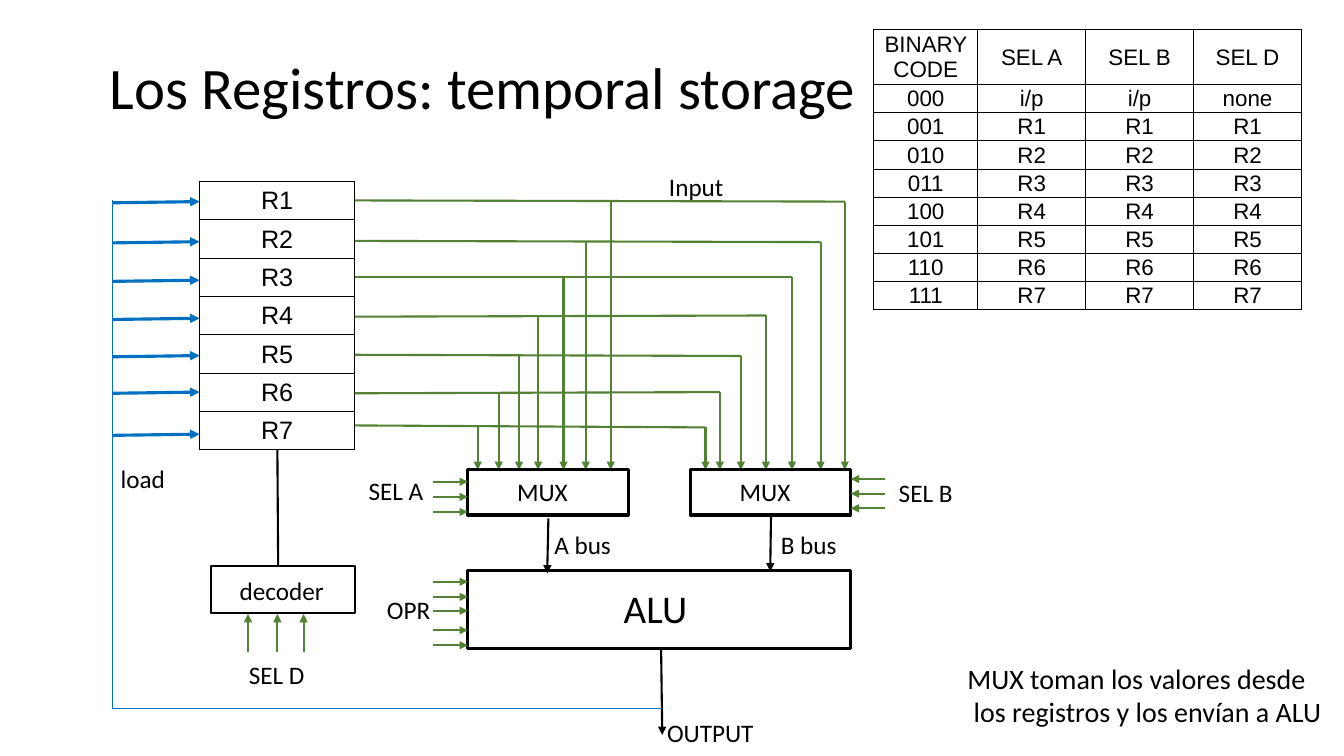
"""Build a slide on a register bank feeding two multiplexers and an ALU."""
from dataclasses import dataclass

from lxml import etree
from pptx import Presentation
from pptx.dml.color import RGBColor
from pptx.enum.shapes import MSO_CONNECTOR, MSO_SHAPE
from pptx.enum.text import MSO_ANCHOR, PP_ALIGN
from pptx.oxml.ns import qn
from pptx.util import Cm, Pt

STRAIGHT = MSO_CONNECTOR.STRAIGHT
RECTANGLE = MSO_SHAPE.RECTANGLE
MIDDLE = MSO_ANCHOR.MIDDLE
CENTER = PP_ALIGN.CENTER


@dataclass(frozen=True)
class Theme:
    ink: str = "000000"
    load: str = "0070C0"
    data: str = "548235"
    text_font: str = "Calibri"
    table_font: str = "Arial"
    title_size: int = 42
    alu_size: int = 28
    note_size: int = 20
    label_size: int = 18
    code_size: int = 16
    grid: float = 0.5
    thin: float = 1
    medium: float = 1.5
    thick: float = 2.25


class Diagram:
    def __init__(self, slide, theme):
        self.slide = slide
        self.theme = theme

    def style_text(self, paragraph, size, font):
        for run in paragraph.runs:
            run.font.size = Pt(size)
            run.font.name = font
            run.font.color.rgb = RGBColor.from_string(self.theme.ink)

    def label(self, text, left, top, width, height=1.02, size=None, wrap=False):
        box = self.slide.shapes.add_textbox(Cm(left), Cm(top), Cm(width), Cm(height))
        frame = box.text_frame
        frame.word_wrap = wrap
        frame.text = text
        for paragraph in frame.paragraphs:
            self.style_text(paragraph, size or self.theme.label_size, self.theme.text_font)
        return frame

    def title(self, text, left, top, width, height):
        frame = self.label(text, left, top, width, height, self.theme.title_size, True)
        frame.vertical_anchor = MIDDLE
        frame.paragraphs[0].line_spacing = 0.9

    def block(self, left, top, width, height, weight):
        outline = self.slide.shapes.add_shape(
            RECTANGLE, Cm(left), Cm(top), Cm(width), Cm(height))
        outline.shadow.inherit = False
        outline.fill.background()
        outline.line.color.rgb = RGBColor.from_string(self.theme.ink)
        outline.line.width = Pt(weight)

    def wire(self, start, end, color, weight, arrow=True):
        connector = self.slide.shapes.add_connector(
            STRAIGHT, *(Cm(value) for value in (*start, *end)))
        connector.line.color.rgb = RGBColor.from_string(color)
        connector.line.width = Pt(weight)
        properties = connector._element.spPr
        if arrow:
            etree.SubElement(properties.find(qn("a:ln")), qn("a:tailEnd"), type="triangle")
        etree.SubElement(properties, qn("a:effectLst"))

    def table(self, rows, left, top, widths, heights, size):
        frame = self.slide.shapes.add_table(
            len(rows), len(widths), Cm(left), Cm(top), Cm(sum(widths)), Cm(sum(heights)))
        table = frame.table
        table.first_row = table.horz_banding = False
        for column, width in zip(table.columns, widths):
            column.width = Cm(width)
        for row, height, texts in zip(table.rows, heights, rows):
            row.height = Cm(height)
            for cell, text in zip(row.cells, texts):
                self.fill_cell(cell, text, size)

    def fill_cell(self, cell, text, size):
        properties = cell._tc.get_or_add_tcPr()
        for side in ("lnL", "lnR", "lnT", "lnB"):
            border = etree.SubElement(
                properties, qn(f"a:{side}"), w=str(Pt(self.theme.grid)))
            solid = etree.SubElement(border, qn("a:solidFill"))
            etree.SubElement(solid, qn("a:srgbClr"), val=self.theme.ink)
        cell.fill.background()
        cell.margin_left = cell.margin_right = cell.margin_top = Cm(0.03)
        cell.margin_bottom = 0
        cell.vertical_anchor = MIDDLE
        cell.text_frame.text = text
        paragraph = cell.text_frame.paragraphs[0]
        paragraph.alignment = CENTER
        self.style_text(paragraph, size, self.theme.table_font)


def draw_registers(diagram, names):
    theme = diagram.theme
    diagram.table([[name] for name in names], 5.03, 4.57, [3.91],
                  [6.76 / len(names)] * len(names), theme.label_size)
    for load_y in (5.11, 6.12, 7.09, 8.05, 8.99, 9.91, 10.97):
        diagram.wire((2.84, load_y), (5.03, load_y - 0.03), theme.load, theme.thick)

    register_outputs = (
        (5.05, 5.08, 15.39, 21.29), (6.07, 6.1, 14.76, 20.68),
        (6.99, 6.99, 14.2, 19.96), (7.98, 7.95, 13.56, 19.3),
        (8.94, 8.97, 13.08, 18.67), (9.91, 9.88, 12.57, 18.14),
        (10.72, 10.77, 12.04, 17.78),
    )
    for start_y, end_y, mux_a_x, mux_b_x in register_outputs:
        diagram.wire((8.94, start_y), (mux_b_x, end_y), theme.data, theme.medium, False)
        for mux_x in (mux_a_x, mux_b_x):
            diagram.wire((mux_x, end_y), (mux_x, 11.84), theme.data, theme.medium)


def draw_units(diagram):
    theme = diagram.theme
    for mux_left in (11.79, 17.4):
        diagram.block(mux_left, 11.84, 4.04, 1.14, theme.thick)
        diagram.label("MUX", mux_left + 0.99, 11.89, 1.8)
    diagram.block(5.31, 14.27, 3.63, 1.17, theme.medium)
    diagram.block(11.79, 14.38, 9.65, 1.96, theme.thick)
    diagram.label("ALU", 15.47, 14.61, 2.74, 1.45, theme.alu_size, True)


def draw_controls(diagram):
    theme = diagram.theme
    select_a = [((10.92, y), (11.79, y)) for y in (12.14, 12.52, 12.9)]
    select_b = [((22.3, y), (21.44, y)) for y in (12.07, 12.44, 12.81)]
    select_d = [((x, 16.43), (x, 15.47)) for x in (6.25, 6.99, 7.65)]
    operation = [((10.92, y), (11.79, y)) for y in (14.66, 15.04, 15.39, 15.88, 16.26)]
    for start, end in select_a + select_b + select_d + operation:
        diagram.wire(start, end, theme.data, theme.medium)

    diagram.wire((6.99, 11.33), (7.01, 14.27), theme.ink, theme.medium, False)
    diagram.wire((13.82, 13.06), (13.79, 14.45), theme.ink, theme.medium)
    diagram.wire((19.43, 13), (19.41, 14.4), theme.ink, theme.medium)
    diagram.wire((16.66, 16.33), (16.69, 18.52), theme.ink, theme.medium)
    diagram.wire((16.69, 17.86), (2.84, 17.86), theme.load, theme.thin, False)
    diagram.wire((2.84, 5.05), (2.84, 17.86), theme.load, theme.thin, False)


def draw_labels(diagram):
    for text, left, top, width in (
        ("Input", 16.61, 4.19, 1.91), ("load", 2.79, 11.56, 1.65),
        ("SEL A", 9.04, 11.86, 1.91), ("SEL B", 22.4, 11.91, 1.88),
        ("A bus", 13.72, 13.21, 1.96), ("B bus", 19.43, 13.21, 1.93),
        ("decoder", 5.79, 14.38, 2.67), ("OPR", 9.5, 14.86, 1.6),
        ("SEL D", 6.02, 16.48, 1.93), ("OUTPUT", 16.56, 17.96, 2.72),
    ):
        diagram.label(text, left, top, width)
    diagram.label("MUX toman los valores desde\n los registros y los envían a ALU",
                  24.13, 16.54, 9.53, 1.96, diagram.theme.note_size)


def main():
    presentation = Presentation()
    presentation.slide_width = Cm(33.87)
    presentation.slide_height = Cm(19.05)
    slide = presentation.slides.add_slide(presentation.slide_layouts[6])
    diagram = Diagram(slide, Theme())
    registers = [f"R{number}" for number in range(1, 8)]

    diagram.title("Los Registros: temporal storage", 2.51, 1.09, 29.21, 2.36)
    draw_registers(diagram, registers)
    draw_units(diagram)
    draw_controls(diagram)
    draw_labels(diagram)

    codes = [["BINARY CODE", "SEL A", "SEL B", "SEL D"], ["000", "i/p", "i/p", "none"]]
    codes += [[f"{code:03b}"] + [name] * 3 for code, name in enumerate(registers, 1)]
    diagram.table(codes, 22.02, 0.74, [2.62] + [2.72] * 3, [1.38] + [0.71] * 8,
                  diagram.theme.code_size)
    presentation.save("out.pptx")


if __name__ == "__main__":
    main()
